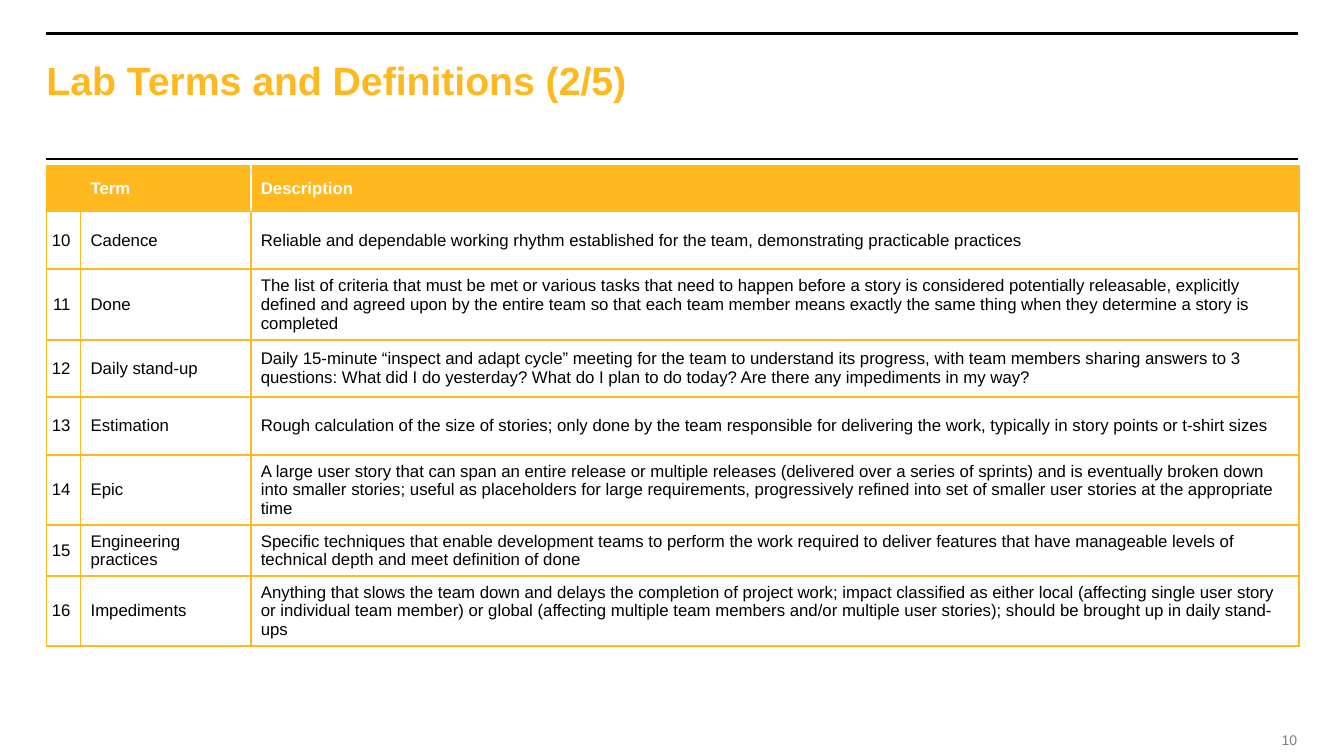
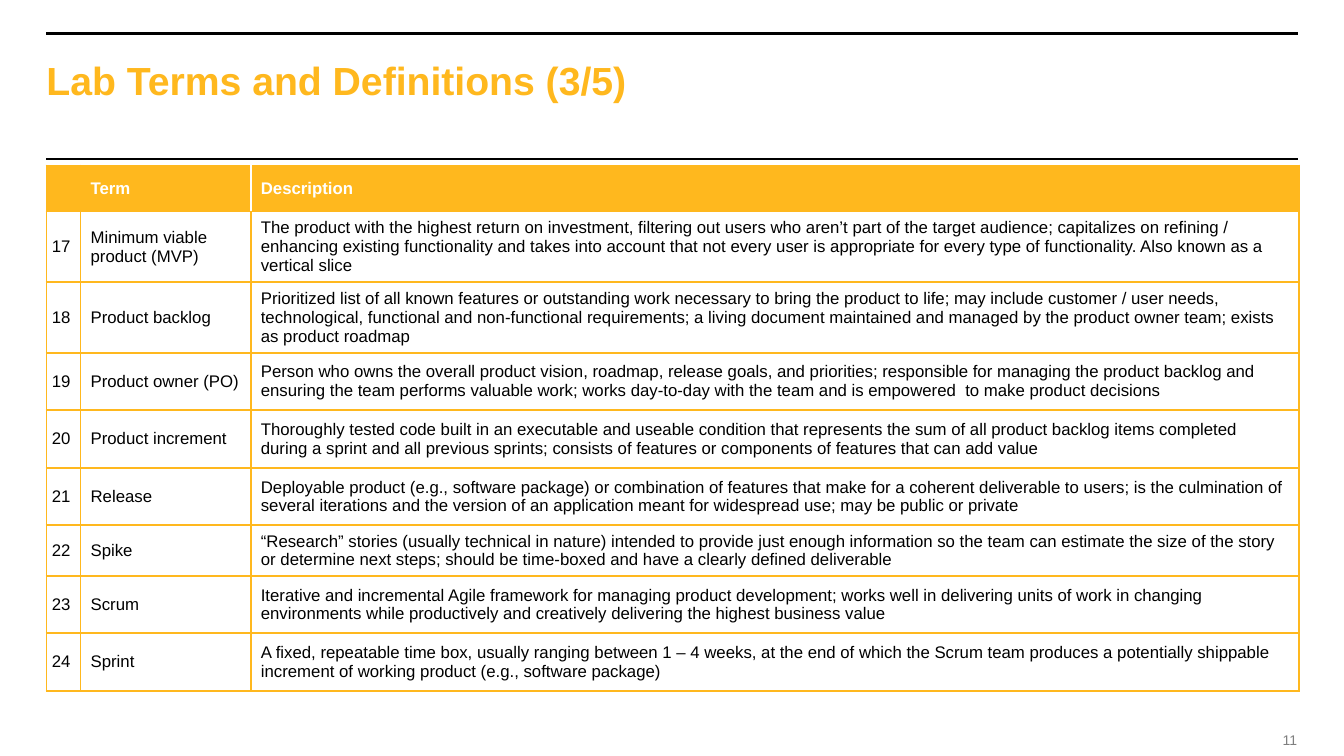
from lxml import etree
from pptx import Presentation
from pptx.dml.color import RGBColor
from pptx.enum.shapes import MSO_CONNECTOR
from pptx.enum.text import MSO_ANCHOR, PP_ALIGN
from pptx.oxml.ns import qn
from pptx.util import Cm, Pt

STRAIGHT = MSO_CONNECTOR.STRAIGHT
TOP, MIDDLE = MSO_ANCHOR.TOP, MSO_ANCHOR.MIDDLE
LEFT, RIGHT = PP_ALIGN.LEFT, PP_ALIGN.RIGHT

COLORS = {"accent": "FFB81E", "white": "FFFFFF", "black": "000000", "gray": "7F7F7F"}
FONT = "Arial"
MARGIN_L, MARGIN_R = 1.17, 32.72
COL_WIDTHS = (0.86, 4.29, 26.42)
SHORT_ROW, TALL_ROW = 1.16, 1.45
SHORT_ROWS = (0, 6)

TERMS_2 = [
    ("Cadence", "Reliable and dependable working rhythm established for the team, "
     "demonstrating practicable practices"),
    ("Done", "The list of criteria that must be met or various tasks that need to happen "
     "before a story is considered potentially releasable, explicitly defined and agreed "
     "upon by the entire team so that each team member means exactly the same thing when "
     "they determine a story is completed"),
    ("Daily stand-up", "Daily 15-minute “inspect and adapt cycle” meeting for the team to "
     "understand its progress, with team members sharing answers to 3 questions: What did "
     "I do yesterday? What do I plan to do today? Are there any impediments in my way?"),
    ("Estimation", "Rough calculation of the size of stories; only done by the team "
     "responsible for delivering the work, typically in story points or t-shirt sizes"),
    ("Epic", "A large user story that can span an entire release or multiple releases "
     "(delivered over a series of sprints) and is eventually broken down into smaller "
     "stories; useful as placeholders for large requirements, progressively refined into "
     "set of smaller user stories at the appropriate time"),
    ("Engineering practices", "Specific techniques that enable development teams to perform "
     "the work required to deliver features that have manageable levels of technical depth "
     "and meet definition of done"),
    ("Impediments", "Anything that slows the team down and delays the completion of project "
     "work; impact classified as either local (affecting single user story or individual "
     "team member) or global (affecting multiple team members and/or multiple user "
     "stories); should be brought up in daily stand-ups"),
]

TERMS_3 = [
    ("Minimum viable product (MVP)", "The product with the highest return on investment, "
     "filtering out users who aren’t part of the target audience; capitalizes on refining / "
     "enhancing existing functionality and takes into account that not every user is "
     "appropriate for every type of functionality. Also known as a vertical slice"),
    ("Product backlog", "Prioritized list of all known features or outstanding work "
     "necessary to bring the product to life; may include customer / user needs, "
     "technological, functional and non-functional requirements; a living document "
     "maintained and managed by the product owner team; exists as product roadmap"),
    ("Product owner (PO)", "Person who owns the overall product vision, roadmap, release "
     "goals, and priorities; responsible for managing the product backlog and ensuring the "
     "team performs valuable work; works day-to-day with the team and is empowered  to make "
     "product decisions"),
    ("Product increment", "Thoroughly tested code built in an executable and useable "
     "condition that represents the sum of all product backlog items completed during a "
     "sprint and all previous sprints; consists of features or components of features that "
     "can add value"),
    ("Release", "Deployable product (e.g., software package) or combination of features "
     "that make for a coherent deliverable to users; is the culmination of several "
     "iterations and the version of an application meant for widespread use; may be public "
     "or private"),
    ("Spike", "“Research” stories (usually technical in nature) intended to provide just "
     "enough information so the team can estimate the size of the story or determine next "
     "steps; should be time-boxed and have a clearly defined deliverable"),
    ("Scrum", "Iterative and incremental Agile framework for managing product development; "
     "works well in delivering units of work in changing environments while productively "
     "and creatively delivering the highest business value"),
    ("Sprint", "A fixed, repeatable time box, usually ranging between 1 – 4 weeks, at the "
     "end of which the Scrum team produces a potentially shippable increment of working "
     "product (e.g., software package)"),
]


def rgb(name):
    return RGBColor.from_string(COLORS[name])


def add_run(tf, text, size, color, bold=False, align=LEFT):
    p = tf.paragraphs[0]
    p.alignment = align
    r = p.add_run()
    r.text = text
    r.font.name = FONT
    r.font.size = Pt(size)
    r.font.bold = bold
    r.font.color.rgb = rgb(color)


def add_text(s, box, text, size, color, bold=False, align=LEFT, anchor=TOP, wrap=True):
    tf = s.shapes.add_textbox(*map(Cm, box)).text_frame
    tf.margin_left = tf.margin_right = tf.margin_top = tf.margin_bottom = 0
    tf.word_wrap = wrap
    tf.vertical_anchor = anchor
    add_run(tf, text, size, color, bold, align)


def add_rule(s, y, width):
    sp = s.shapes.add_connector(STRAIGHT, Cm(MARGIN_L), Cm(y), Cm(MARGIN_R), Cm(y))
    sp.line.color.rgb = rgb("black")
    sp.line.width = Pt(width)
    etree.SubElement(sp._element.spPr, qn("a:effectLst"))


def set_borders(cell, **overrides):
    tc_pr = cell._tc.get_or_add_tcPr()
    for side in "LRTB":
        ln = etree.SubElement(tc_pr, qn(f"a:ln{side}"), w=str(Pt(1.5)))
        fill = etree.SubElement(ln, qn("a:solidFill"))
        color = COLORS[overrides.get(side, "accent")]
        etree.SubElement(fill, qn("a:srgbClr"), val=color)


def style_cell(cell, fill, **borders):
    cell.vertical_anchor = MIDDLE
    set_borders(cell, **borders)
    cell.fill.solid()
    cell.fill.fore_color.rgb = rgb(fill)


def add_header(table):
    borders = ({}, {"R": "white"}, {"L": "white"})
    for cell, text, sides in zip(table.rows[0].cells, ("", "Term", "Description"), borders):
        style_cell(cell, "accent", **sides)
        if text:
            add_run(cell.text_frame, text, 12, "white", bold=True)


def add_term_table(s, first_number, terms):
    heights = [SHORT_ROW if i in SHORT_ROWS else TALL_ROW for i in range(len(terms) + 1)]
    table = s.shapes.add_table(len(heights), len(COL_WIDTHS), Cm(MARGIN_L), Cm(4.17),
                               Cm(sum(COL_WIDTHS)), Cm(sum(heights))).table
    table.horz_banding = False
    for col, width in zip(table.columns, COL_WIDTHS):
        col.width = Cm(width)
    for row, height in zip(table.rows, heights):
        row.height = Cm(height)
    add_header(table)
    for i, (term, description) in enumerate(terms):
        cells = table.rows[i + 1].cells
        for cell, text in zip(cells, (str(first_number + i), term, description)):
            style_cell(cell, "white")
            add_run(cell.text_frame, text, 12, "black")
        cells[0].margin_left = 0
        cells[0].text_frame.paragraphs[0].alignment = RIGHT


def add_terms_slide(prs, page, part, first_number, terms):
    s = prs.slides.add_slide(prs.slide_layouts[6])
    add_text(s, (32.26, 18.42, 0.43, 0.43), str(page), 10, "gray",
             align=RIGHT, anchor=MIDDLE, wrap=False)
    add_rule(s, 0.84, 2.5)
    add_rule(s, 4.01, 1)
    add_text(s, (MARGIN_L, 1.42, 27.46, 1.19), f"Lab Terms and Definitions ({part}/5)",
             28, "accent", bold=True)
    add_term_table(s, first_number, terms)


def main():
    prs = Presentation()
    prs.slide_width, prs.slide_height = Cm(33.87), Cm(19.05)
    add_terms_slide(prs, 10, 2, 10, TERMS_2)
    add_terms_slide(prs, 11, 3, 17, TERMS_3)
    prs.save("out.pptx")


main()
